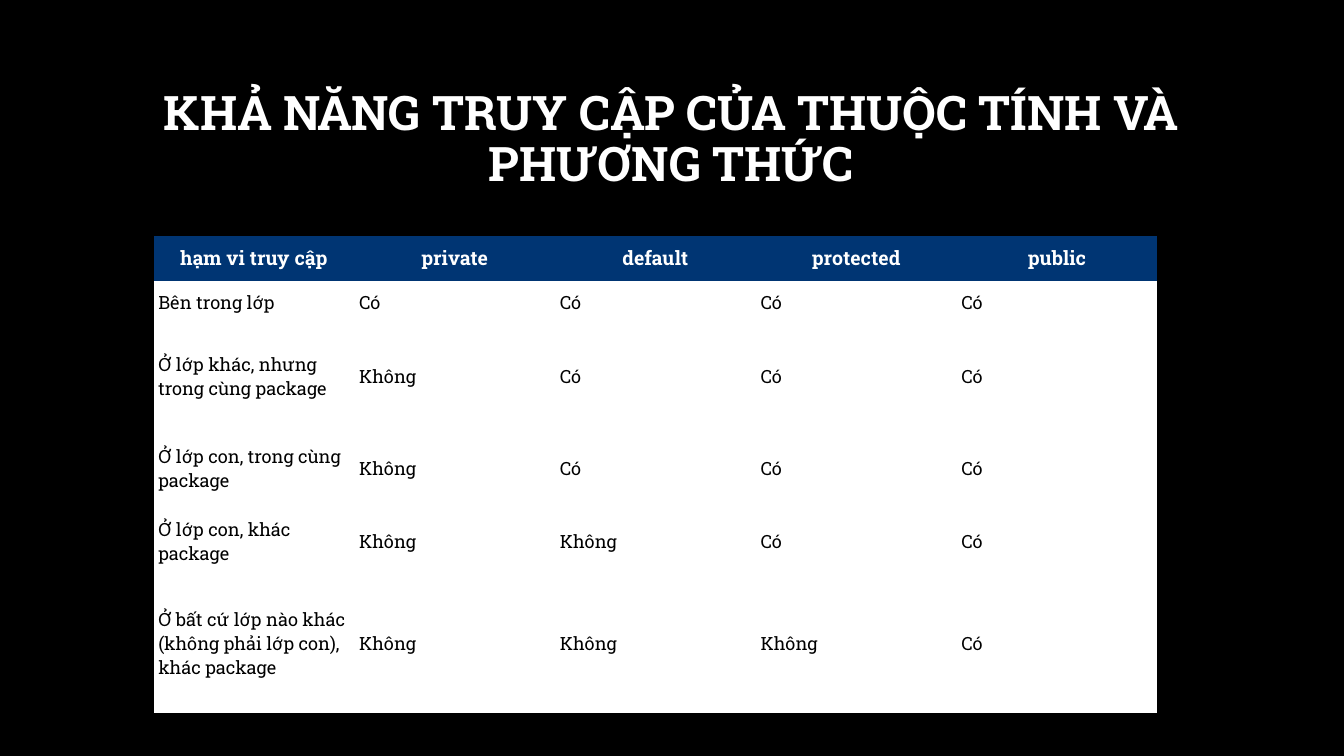
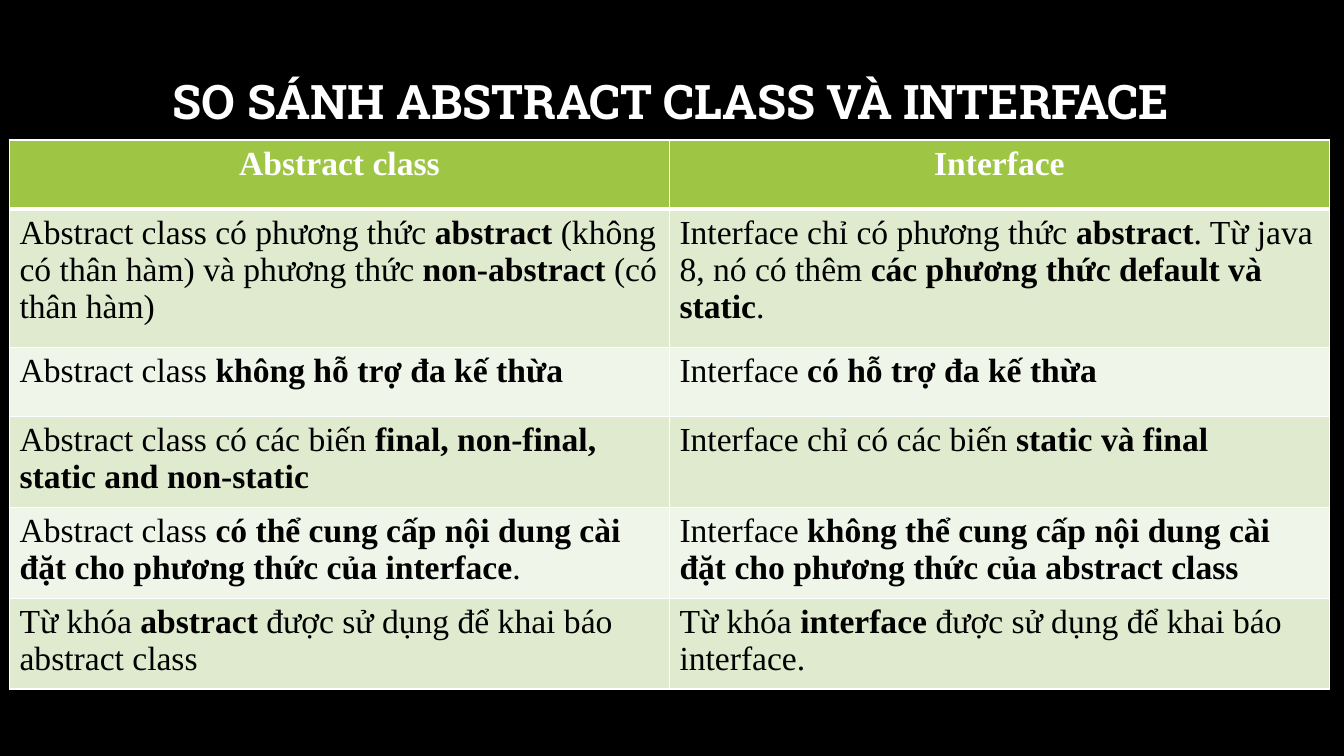
import pptx
import pptx.dml.color
import pptx.enum.text
import pptx.oxml
import pptx.oxml.ns
import pptx.util

Cm = pptx.util.Cm
Pt = pptx.util.Pt
ALIGN = pptx.enum.text.PP_ALIGN
ANCHOR = pptx.enum.text.MSO_ANCHOR

COLORS = {
    "background": "000000",
    "light": "FFFFFF",
    "dark": "000000",
    "navy": "003573",
    "green": "9EC544",
    "band_strong": "DFEACF",
    "band_soft": "F0F5E9",
}
SLAB = "Roboto Slab"
SERIF = "Times New Roman"
NO_STYLE = "{2D5ABB26-0587-4C30-8999-92F81FD0307C}"

ACCESS_ROWS = [
    ["hạm vi truy cập", "private", "default", "protected", "public"],
    ["Bên trong lớp", "Có", "Có", "Có", "Có"],
    ["Ở lớp khác, nhưng trong cùng package", "Không", "Có", "Có", "Có"],
    ["Ở lớp con, trong cùng package", "Không", "Có", "Có", "Có"],
    ["Ở lớp con, khác package", "Không", "Không", "Có", "Có"],
    ["Ở bất cứ lớp nào khác (không phải lớp con), khác package", "Không", "Không", "Không", "Có"],
]
COMPARISON_ROWS = [
    ["Abstract class", "Interface"],
    ["Abstract class có phương thức **abstract **(không có thân hàm) và phương thức "
     "**non-abstract** (có thân hàm)",
     "Interface chỉ có phương thức **abstract**. Từ java 8, nó có thêm "
     "**các phương thức default và static**."],
    ["Abstract class **không hỗ trợ đa kế thừa**",
     "Interface **có hỗ trợ đa kế thừa**"],
    ["Abstract class có các biến **final, non-final, static and non-static**",
     "Interface chỉ có các biến **static và final**"],
    ["Abstract class **có thể cung cấp nội dung cài đặt cho phương thức của interface**.",
     "Interface **không thể cung cấp nội dung cài đặt cho phương thức của abstract class**"],
    ["Từ khóa **abstract** được sử dụng để khai báo abstract class",
     "Từ khóa **interface** được sử dụng để khai báo interface."],
]


def rgb(name):
    return pptx.dml.color.RGBColor.from_string(COLORS[name])


def write_text(frame, text, *, size, font, color, bold=False, align=ALIGN.LEFT, spacing=None):
    frame.word_wrap = True
    paragraph = frame.paragraphs[0]
    paragraph.alignment = align
    paragraph.line_spacing = spacing
    for index, part in enumerate(text.split("**")):
        if part:
            run = paragraph.add_run()
            run.text = part
            run.font.size = Pt(size)
            run.font.name = font
            run.font.bold = bold or index % 2 == 1
            run.font.color.rgb = rgb(color)


def add_borders(cell, color, bottom):
    properties = cell._tc.get_or_add_tcPr()
    for side, width in zip("LRTB", (1, 1, 1, bottom)):
        properties.append(pptx.oxml.parse_xml(
            f'<a:ln{side} {pptx.oxml.ns.nsdecls("a")} w="{Pt(width)}">'
            f'<a:solidFill><a:srgbClr val="{COLORS[color]}"/></a:solidFill></a:ln{side}>'))


class Deck:
    def __init__(self):
        self.presentation = pptx.Presentation()
        self.presentation.slide_width = Cm(33.87)
        self.presentation.slide_height = Cm(19.05)
        self.slide = None

    def add_slide(self, title, title_height):
        self.slide = self.presentation.slides.add_slide(self.presentation.slide_layouts[6])
        self.slide.background.fill.solid()
        self.slide.background.fill.fore_color.rgb = rgb("background")
        shape = self.slide.shapes.add_textbox(Cm(2.54), Cm(1.7), Cm(28.75), Cm(title_height))
        shape.text_frame.vertical_anchor = ANCHOR.MIDDLE
        write_text(shape.text_frame, title, size=34, font=SLAB, color="light",
                   bold=True, align=ALIGN.CENTER, spacing=0.9)

    def add_table(self, rows, left, top, column_width, heights, *, font, header_size, body_size,
                  header_fill, body_fills, margins=None, anchor=ANCHOR.TOP, bordered=False):
        columns = len(rows[0])
        shape = self.slide.shapes.add_table(len(rows), columns, Cm(left), Cm(top),
                                            Cm(column_width * columns), Cm(sum(heights)))
        table = shape.table
        table._tbl.tblPr.find(pptx.oxml.ns.qn("a:tableStyleId")).text = NO_STYLE
        table.horz_banding = False
        for column in table.columns:
            column.width = Cm(column_width)
        for row_index, (texts, height) in enumerate(zip(rows, heights)):
            header = row_index == 0
            fill = header_fill if header else body_fills[(row_index - 1) % len(body_fills)]
            table.rows[row_index].height = Cm(height)
            for column_index, text in enumerate(texts):
                cell = table.cell(row_index, column_index)
                cell.vertical_anchor = anchor
                if margins:
                    cell.margin_left = cell.margin_right = Cm(margins[0])
                    cell.margin_top = cell.margin_bottom = Cm(margins[1])
                if bordered:
                    add_borders(cell, "light", 3 if header else 1)
                cell.fill.solid()
                cell.fill.fore_color.rgb = rgb(fill)
                write_text(cell.text_frame, text, font=font, bold=header,
                           size=header_size if header else body_size,
                           color="light" if header else "dark",
                           align=ALIGN.CENTER if header else ALIGN.LEFT)


def main():
    deck = Deck()
    deck.add_slide("KHẢ NĂNG TRUY CẬP CỦA THUỘC TÍNH VÀ PHƯƠNG THỨC", 3.68)
    deck.add_table(ACCESS_ROWS, 3.87, 5.94, 5.06, [1.13, 1.13, 2.57, 2.08, 1.6, 3.53],
                   font=SLAB, header_size=14, body_size=13, header_fill="navy",
                   body_fills=["light"], margins=(0.12, 0.08), anchor=ANCHOR.MIDDLE)

    deck.add_slide("SO SÁNH ABSTRACT CLASS VÀ INTERFACE", 1.83)
    deck.add_table(COMPARISON_ROWS, 0.24, 3.53, 16.63, [1.74, 3.49] + [1.74] * 4,
                   font=SERIF, header_size=24, body_size=24, header_fill="green",
                   body_fills=["band_strong", "band_soft"], bordered=True)
    deck.presentation.save("out.pptx")


if __name__ == "__main__":
    main()
